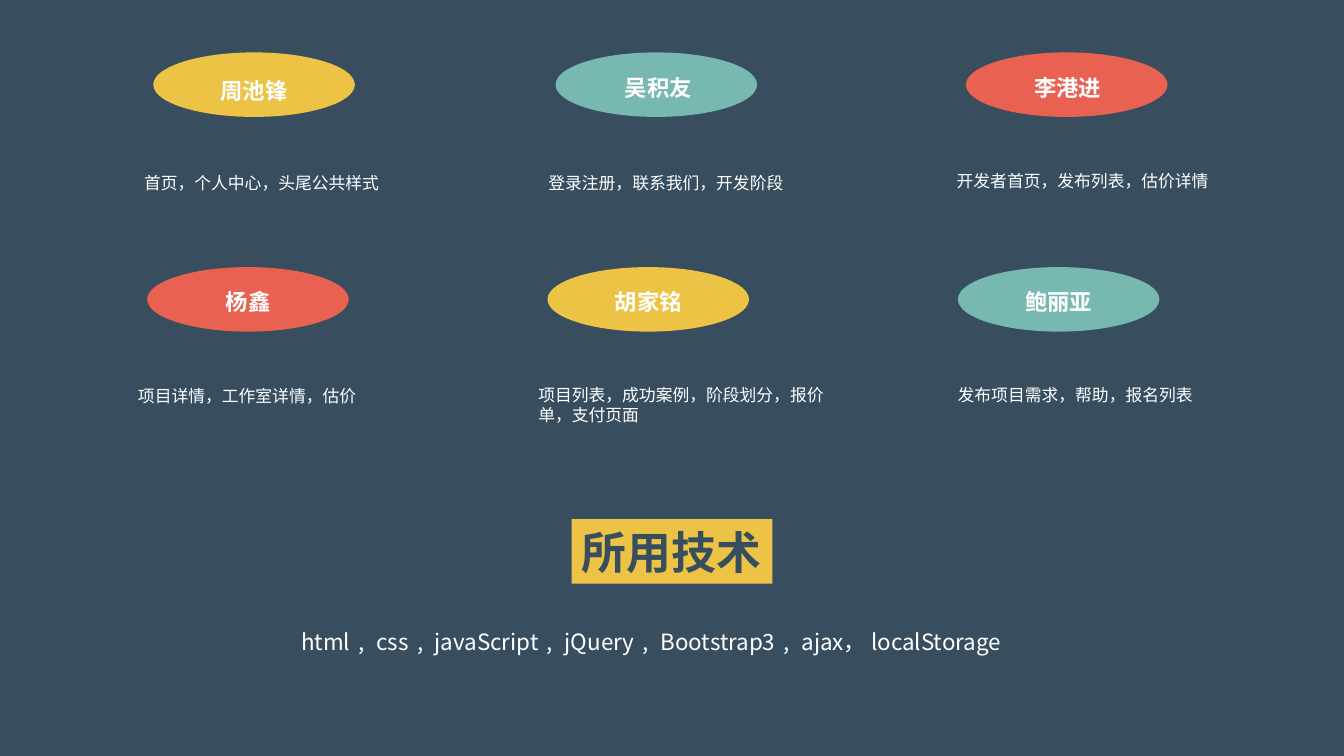
from typing import NamedTuple

from lxml import etree
from pptx import Presentation
from pptx.dml.color import RGBColor
from pptx.enum.shapes import MSO_SHAPE
from pptx.enum.text import MSO_ANCHOR, MSO_AUTO_SIZE, PP_ALIGN
from pptx.oxml.ns import qn
from pptx.util import Inches, Pt

OVAL = MSO_SHAPE.OVAL
LEFT, CENTER = PP_ALIGN.LEFT, PP_ALIGN.CENTER
MIDDLE = MSO_ANCHOR.MIDDLE
GROW, FIXED = MSO_AUTO_SIZE.SHAPE_TO_FIT_TEXT, MSO_AUTO_SIZE.NONE
NAVY, GOLD, TEAL, CORAL, WHITE = "384E5E", "ECC345", "77B9B0", "E96151", "FFFFFF"
HAN = "Noto Sans CJK SC"


class Box(NamedTuple):
    left: float
    top: float
    width: float
    height: float


class Style(NamedTuple):
    size: int
    font: str
    color: str = WHITE
    bold: bool = False


class Member(NamedTuple):
    name: str
    task: str
    color: str
    left: float
    top: float
    name_left: float
    name_top: float
    task_left: float
    task_top: float
    task_high: float = 0.3


NAME = Style(16, "Cabin", bold=True)
TASK = Style(12, "Calibri")
TITLE = Style(32, "Calibri", NAVY, True)
TECH = Style(16, HAN)

TEAM = [
    Member("周池锋", "首页，个人中心，头尾公共样式",
           GOLD, 1.52, 0.52, 1.58, 0.58, 1.33, 1.66),
    Member("吴积友", "登录注册，联系我们，开发阶段",
           TEAL, 5.51, 0.52, 5.59, 0.55, 5.34, 1.66),
    Member("李港进", "开发者首页，发布列表，估价详情",
           CORAL, 9.58, 0.52, 9.65, 0.55, 9.39, 1.64),
    Member("杨鑫", "项目详情，工作室详情，估价",
           CORAL, 1.46, 2.65, 1.52, 2.68, 1.27, 3.78),
    Member("胡家铭", "项目列表，成功案例，阶段划分，报价单，支付页面",
           GOLD, 5.43, 2.65, 5.49, 2.68, 5.24, 3.77, 0.5),
    Member("鲍丽亚", "发布项目需求，帮助，报名列表",
           TEAL, 9.5, 2.65, 9.56, 2.68, 9.4, 3.77),
]
TOOLS = ["html", "css", "javaScript", "jQuery", "Bootstrap3", "ajax， localStorage"]


def paint(fill, color: str) -> None:
    """Make a fill solid in a hex colour."""
    fill.solid()
    fill.fore_color.rgb = RGBColor.from_string(color)


def place(shape, box: Box) -> None:
    """Move and size a shape in inches."""
    shape.left, shape.top, shape.width, shape.height = map(Inches, box)


def add_run(para, text: str, style: Style, gap: float = 0) -> None:
    """Add one styled run, with optional letter spacing in points."""
    run = para.add_run()
    run.text = text
    font = run.font
    font.size, font.name, font.bold = Pt(style.size), style.font, style.bold
    paint(font.fill, style.color)
    props = run._r.get_or_add_rPr()
    etree.SubElement(props, qn("a:ea")).set("typeface", HAN)
    if gap:
        props.set("spc", str(round(gap * 100)))


def add_text(slide, box: Box, align: PP_ALIGN = LEFT, lines: float = 1.0):
    """Add a wrapping text box and return its first paragraph."""
    shape = slide.shapes.add_textbox(*map(Inches, box))
    frame = shape.text_frame
    frame.word_wrap, frame.auto_size = True, GROW
    para = frame.paragraphs[0]
    para.alignment, para.line_spacing = align, lines
    return para


def add_member(slide, one: Member) -> None:
    """Draw a member's oval, name and task."""
    oval = slide.shapes.add_shape(
        OVAL, *map(Inches, Box(one.left, one.top, 2, 0.64)))
    oval.shadow.inherit = False
    paint(oval.fill, one.color)
    oval.line.fill.background()
    name = add_text(slide, Box(one.name_left, one.name_top, 1.88, 0.5), CENTER, 1.5)
    add_run(name, one.name, NAME)
    task = add_text(slide, Box(one.task_left, one.task_top, 3.05, one.task_high))
    add_run(task, one.task, TASK)


def add_title(slide, text: str) -> None:
    """Fill and format the title placeholder."""
    title = slide.shapes.title
    place(title, Box(5.67, 5.15, 1.99, 0.64))
    paint(title.fill, GOLD)
    frame = title.text_frame
    frame.word_wrap, frame.auto_size = False, FIXED
    frame.vertical_anchor = MIDDLE
    para = frame.paragraphs[0]
    para.alignment = LEFT
    add_run(para, text, TITLE)


def add_tools(slide) -> None:
    """List the tools with widely spaced commas."""
    para = add_text(slide, Box(2.89, 6.05, 7.73, 0.5), lines=1.5)
    for i, tool in enumerate(TOOLS):
        if i:
            add_run(para, " , ", TECH, 2.35)
        add_run(para, tool, TECH)


def main() -> None:
    """Build and save the slide."""
    deck = Presentation()
    deck.slide_width, deck.slide_height = Inches(13.33), Inches(7.5)
    slide = deck.slides.add_slide(deck.slide_layouts[5])
    paint(slide.background.fill, NAVY)
    for one in TEAM:
        add_member(slide, one)
    add_title(slide, "所用技术")
    add_tools(slide)
    deck.save("out.pptx")


if __name__ == "__main__":
    main()
